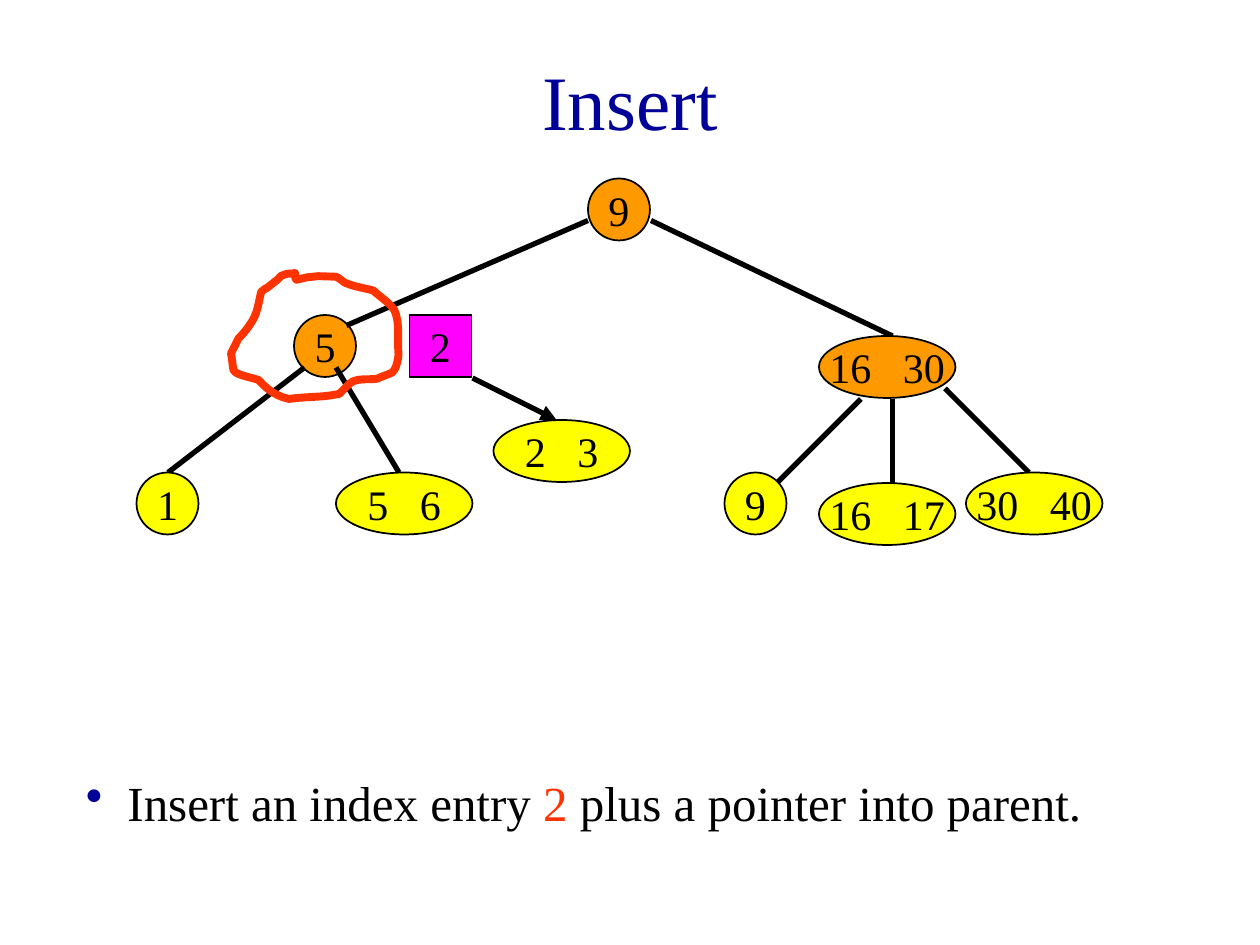
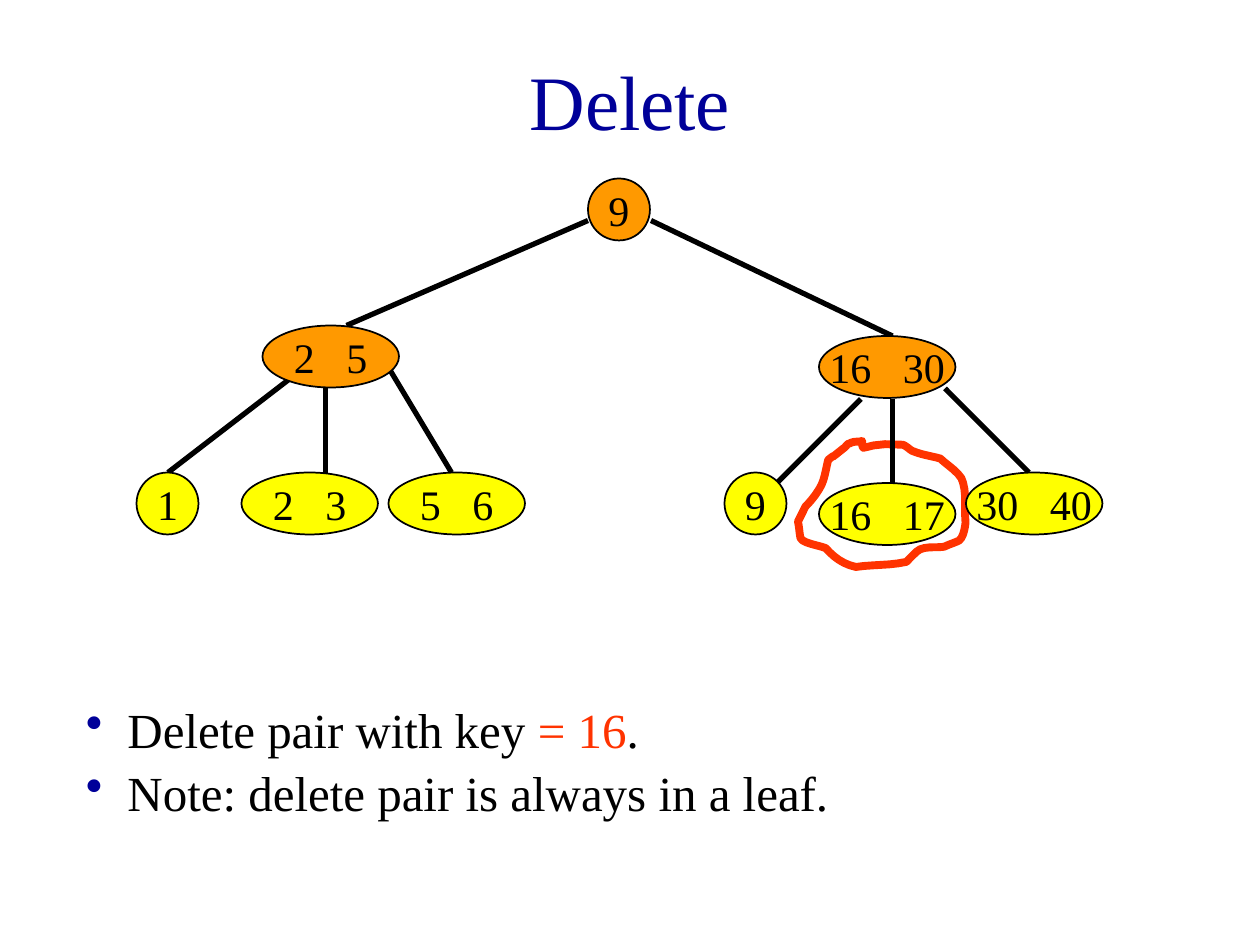
from dataclasses import dataclass
from typing import NamedTuple, Union

from lxml import etree
from pptx import Presentation
from pptx.dml.color import RGBColor
from pptx.enum.shapes import MSO_CONNECTOR, MSO_SHAPE
from pptx.enum.text import MSO_ANCHOR, PP_ALIGN
from pptx.oxml.ns import qn
from pptx.util import Inches, Pt

STRAIGHT = MSO_CONNECTOR.STRAIGHT
OVAL, RECTANGLE = MSO_SHAPE.OVAL, MSO_SHAPE.RECTANGLE
MIDDLE, CENTER = MSO_ANCHOR.MIDDLE, PP_ALIGN.CENTER

BLACK = RGBColor(0x00, 0x00, 0x00)
NAVY = RGBColor(0x00, 0x00, 0x99)
RED = RGBColor(0xFF, 0x33, 0x00)
ORANGE = RGBColor(0xFF, 0x99, 0x00)
YELLOW = RGBColor(0xFF, 0xFF, 0x00)
MAGENTA = RGBColor(0xFF, 0x00, 0xFF)

FONT = "Times New Roman"
SLIDE_WIDTH, SLIDE_HEIGHT = Inches(10), Inches(7.5)
COLUMN, ROW = SLIDE_WIDTH / 120, SLIDE_HEIGHT / 90
NODE_HEIGHT, PAIR_WIDTH = 5.9, 13
KEY_GAP = Pt(12)
BULLET_INDENT = Inches(0.33)
CURVE_STEPS = 6

LASSO_START = (51, 0)
LASSO_CURVES = [
    (48, 1, 44, 0, 41, 2), (39, 2, 38, 5, 36, 6), (20, 19, 34, 7, 24, 15),
    (22, 23, 21, 32, 17, 38), (14, 43, 10, 48, 6, 52), (4, 56, 2, 60, 0, 64),
    (1, 68, 1, 72, 2, 77), (3, 81, 17, 83, 22, 85), (28, 92, 36, 98, 46, 100),
    (59, 98, 73, 99, 86, 96), (89, 93, 91, 91, 94, 88), (99, 83, 109, 85, 116, 84),
    (120, 82, 124, 81, 128, 79), (132, 76, 133, 65, 133, 65), (132, 54, 134, 43, 131, 33),
    (130, 26, 118, 19, 113, 14), (106, 12, 98, 11, 91, 8), (90, 8, 85, 3, 83, 3),
    (50, 0, 51, 12, 51, 0),
]


class Node(NamedTuple):
    """A tree node with its keys, placed by column and row."""
    column: float
    row: float
    keys: str
    fill: RGBColor = YELLOW
    outline: MSO_SHAPE = OVAL


class Edge(NamedTuple):
    """A line between two grid points."""
    start: tuple[float, float]
    end: tuple[float, float]
    arrow: bool = False


class Lasso(NamedTuple):
    """A hand-drawn ring around a node."""
    column: float
    row: float


class Bullet(NamedTuple):
    """A bulleted line made of coloured runs."""
    row: float
    width: float
    runs: list[tuple[str, RGBColor]]


@dataclass
class TreeSlide:
    """A title, tree elements from back to front, and bullets."""
    title: str
    elements: list[Union[Node, Edge, Lasso]]
    bullets: list[Bullet]


def grid(column: float, row: float) -> tuple[int, int]:
    """Convert a grid position or size to slide lengths."""
    return round(column * COLUMN), round(row * ROW)


def add_run(paragraph, text: str, size: float, color: RGBColor):
    """Append a formatted run to a paragraph."""
    run = paragraph.add_run()
    run.text = text
    run.font.name, run.font.size = FONT, Pt(size)
    run.font.color.rgb = color
    return run


def draw_title(slide, text: str) -> None:
    """Fill and format the title placeholder."""
    title = slide.shapes.title
    title.left, title.top = grid(9, 2)
    title.width, title.height = grid(102, 15)
    frame = title.text_frame
    frame.vertical_anchor = MIDDLE
    frame.paragraphs[0].alignment = CENTER
    add_run(frame.paragraphs[0], text, 44, NAVY)


def draw_node(slide, node: Node) -> None:
    """Draw a node, wide when it holds a pair of keys."""
    keys = node.keys.split()
    width = PAIR_WIDTH if len(keys) > 1 else NODE_HEIGHT
    shape = slide.shapes.add_shape(
        node.outline, *grid(node.column, node.row), *grid(width, NODE_HEIGHT))
    shape.shadow.inherit = False
    shape.fill.solid()
    shape.fill.fore_color.rgb = node.fill
    shape.line.color.rgb = BLACK
    shape.line.width = Pt(1)
    frame = shape.text_frame
    frame.margin_left = frame.margin_right = frame.margin_top = frame.margin_bottom = 0
    frame.word_wrap = False
    frame.vertical_anchor = MIDDLE
    paragraph = frame.paragraphs[0]
    paragraph.alignment = CENTER
    for index, key in enumerate(keys):
        if index:
            gap = add_run(paragraph, " ", 24, BLACK)
            gap.font._element.set("spc", str(round(KEY_GAP.pt * 100)))
        add_run(paragraph, key, 24, BLACK)


def draw_edge(slide, edge: Edge) -> None:
    """Draw a line, with an arrowhead when the edge asks for it."""
    connector = slide.shapes.add_connector(STRAIGHT, *grid(*edge.start), *grid(*edge.end))
    connector.line.color.rgb = BLACK
    connector.line.width = Pt(3)
    properties = connector.element.spPr
    etree.SubElement(properties, qn("a:effectLst"))
    if edge.arrow:
        etree.SubElement(properties.find(qn("a:ln")), qn("a:tailEnd"), type="triangle")


def lasso_points() -> list[tuple[float, float]]:
    """Sample the lasso's cubic curves, in hundredths of an inch."""
    points = []
    start = LASSO_START
    for curve in LASSO_CURVES:
        first, second, end = curve[:2], curve[2:4], curve[4:]
        for step in range(1, CURVE_STEPS + 1):
            t = step / CURVE_STEPS
            u = 1 - t
            points.append(tuple(
                u**3 * a + 3 * u * u * t * b + 3 * u * t * t * c + t**3 * d
                for a, b, c, d in zip(start, first, second, end)))
        start = end
    return points


def draw_lasso(slide, lasso: Lasso) -> None:
    """Draw the ring as an unfilled freeform."""
    left, top = grid(lasso.column, lasso.row)
    points = [(left + Inches(x / 100), top + Inches(y / 100)) for x, y in lasso_points()]
    builder = slide.shapes.build_freeform(*points[0])
    builder.add_line_segments(points[1:], close=True)
    ring = builder.convert_to_shape()
    ring.shadow.inherit = False
    ring.fill.background()
    ring.line.color.rgb = RED
    ring.line.width = Pt(4.5)


def draw_bullet(slide, bullet: Bullet) -> None:
    """Draw one bulleted text box."""
    box = slide.shapes.add_textbox(*grid(7, bullet.row), *grid(bullet.width, 6.8))
    box.text_frame.word_wrap = True
    paragraph = box.text_frame.paragraphs[0]
    properties = paragraph._p.get_or_add_pPr()
    properties.set("marL", str(BULLET_INDENT))
    properties.set("indent", str(-BULLET_INDENT))
    color = etree.SubElement(properties, qn("a:buClr"))
    etree.SubElement(color, qn("a:srgbClr"), val=str(NAVY))
    etree.SubElement(properties, qn("a:buChar"), char="•")
    for text, run_color in bullet.runs:
        add_run(paragraph, text, 28, run_color)


DRAWERS = {Node: draw_node, Edge: draw_edge, Lasso: draw_lasso}

SHARED_EDGES = [
    Edge((56, 21), (33, 31)),
    Edge((62, 21), (85, 32)),
    Edge((29, 35), (16, 45)),
    Edge((82, 38), (74, 46)),
    Edge((90, 37), (98, 45)),
    Edge((85, 38), (85, 46)),
]
SHARED_NODES = [
    Node(56, 17, "9", ORANGE),
    Node(78, 32, "16 30", ORANGE),
    Node(13, 45, "1"),
    Node(69, 45, "9"),
    Node(78, 46, "16 17"),
    Node(92, 45, "30 40"),
]

SLIDES = [
    TreeSlide(
        "Insert",
        [
            Node(28, 30, "5", ORANGE),
            *SHARED_EDGES,
            Edge((32, 35), (38, 45)),
            *SHARED_NODES,
            Node(32, 45, "5 6"),
            Node(39, 30, "2", MAGENTA, RECTANGLE),
            Edge((45, 36), (53, 40), arrow=True),
            Lasso(22, 26),
            Node(47, 40, "2 3"),
        ],
        [Bullet(73, 106, [("Insert an index entry ", BLACK), ("2 ", RED),
                          ("plus a pointer into parent.", BLACK)])],
    ),
    TreeSlide(
        "Delete",
        [
            Lasso(76, 42),
            *SHARED_EDGES,
            Edge((37, 35), (43, 45)),
            Edge((31, 37), (31, 45)),
            *SHARED_NODES,
            Node(25, 31, "2 5", ORANGE),
            Node(23, 45, "2 3"),
            Node(37, 45, "5 6"),
        ],
        [
            Bullet(66, 80, [("Delete pair with key ", BLACK), ("= 16", RED), (".", BLACK)]),
            Bullet(72, 80, [("Note: delete pair is always in a leaf.", BLACK)]),
        ],
    ),
]


def main() -> None:
    """Build and save the presentation."""
    presentation = Presentation()
    presentation.slide_width, presentation.slide_height = SLIDE_WIDTH, SLIDE_HEIGHT
    title_only = presentation.slide_layouts[5]
    for content in SLIDES:
        slide = presentation.slides.add_slide(title_only)
        draw_title(slide, content.title)
        for element in content.elements:
            DRAWERS[type(element)](slide, element)
        for bullet in content.bullets:
            draw_bullet(slide, bullet)
    presentation.save("out.pptx")


if __name__ == "__main__":
    main()
